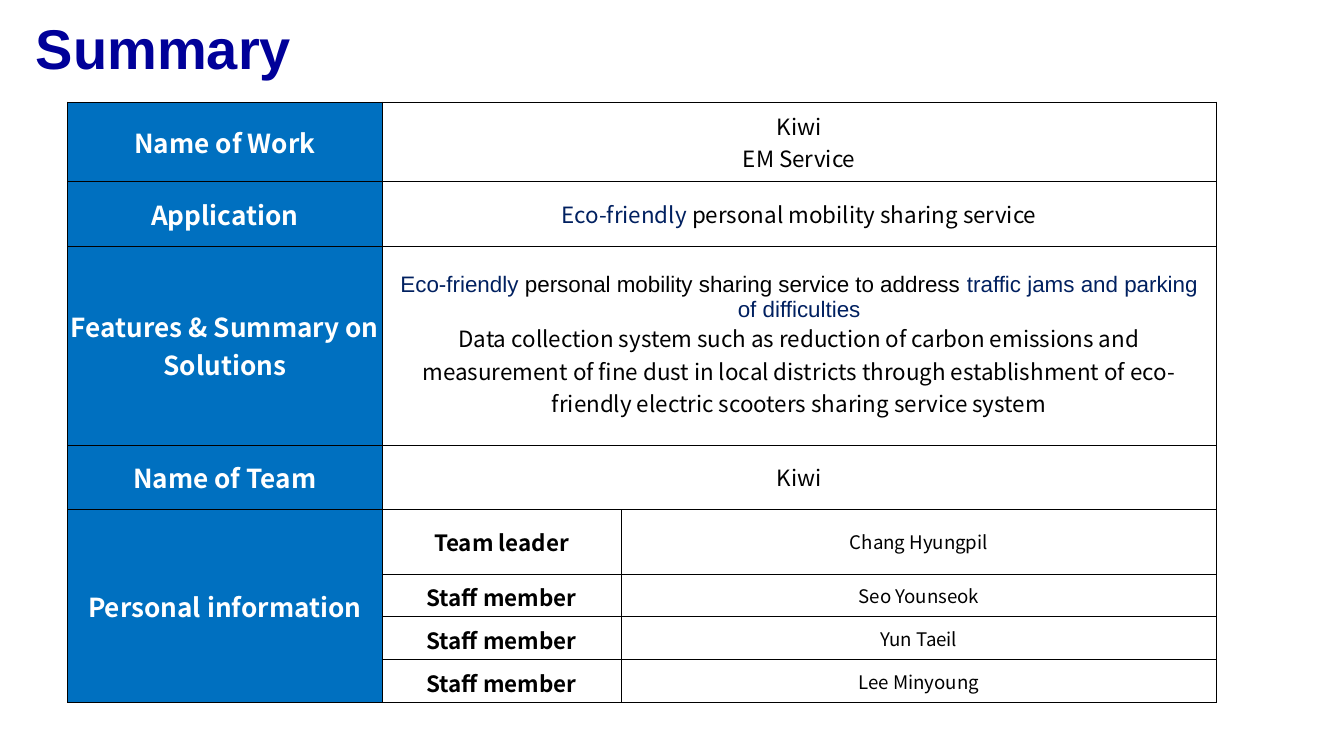
from dataclasses import dataclass

from lxml.etree import SubElement
from pptx import Presentation
from pptx.dml.color import RGBColor
from pptx.enum.text import MSO_ANCHOR, PP_ALIGN
from pptx.oxml.ns import qn
from pptx.util import Cm, Pt


@dataclass(frozen=True)
class Theme:
    title: str = "000099"
    header: str = "0070C0"
    white: str = "FFFFFF"
    black: str = "000000"
    accent: str = "002060"
    title_font: str = "Arial"
    body_font: str = "Noto Sans CJK TC"
    symbol_font: str = "Noto Sans CJK KR"
    title_size: float = 30
    header_size: float = 14
    body_size: float = 12
    name_size: float = 10
    border: float = 0.45


THEME = Theme()

# A paragraph is a list of spans: text, then an optional colour and font.
ECO = ("Eco-friendly", THEME.accent)
SUMMARY_ROWS = [
    ([("Name of Work",)], [[("Kiwi",)], [("EM Service",)]]),
    ([("Application",)], [[ECO, (" personal mobility sharing service",)]]),
    (
        [("Features ",), ("&", THEME.white, THEME.symbol_font), (" Summary on Solutions",)],
        [
            [
                (*ECO, THEME.title_font),
                (" personal mobility sharing service to address ", THEME.black, THEME.title_font),
                ("traffic jams and parking of difficulties", THEME.accent, THEME.title_font),
            ],
            [("Data collection system such as reduction of carbon emissions and "
              "measurement of fine dust in local districts through establishment of "
              "eco-friendly electric scooters sharing service system",)],
        ],
    ),
    ([("Name of Team",)], [[("Kiwi",)]]),
]
PEOPLE_HEADER = [("Personal information",)]
PEOPLE = [
    ("Team leader", "Chang Hyungpil"),
    ("Staff member", "Seo Younseok"),
    ("Staff member", "Yun Taeil"),
    ("Staff member", "Lee Minyoung"),
]
COLUMN_WIDTHS = [5.94, 4.52, 11.25]
ROW_HEIGHTS = [1.5, 1.22, 3.76, 1.22, 1.22, 0.81, 0.81, 0.81]
WIDE_MARGIN, NARROW_MARGIN = 0.3, 0.03


def style_font(font, size, color, name, bold):
    font.size = Pt(size)
    font.color.rgb = RGBColor.from_string(color)
    font.name = name
    font.bold = bold


def format_cell(cell, fill):
    """Draw the four borders first, since they precede the fill in the XML."""
    properties = cell._tc.get_or_add_tcPr()
    for side in ("lnL", "lnR", "lnT", "lnB"):
        line = SubElement(properties, qn(f"a:{side}"), w=str(Pt(THEME.border)))
        SubElement(SubElement(line, qn("a:solidFill")), qn("a:srgbClr"), val=THEME.black)
    cell.fill.solid()
    cell.fill.fore_color.rgb = RGBColor.from_string(fill)


def write_cell(cell, paragraphs, size, color=THEME.black, bold=False, margin=NARROW_MARGIN):
    cell.vertical_anchor = MSO_ANCHOR.MIDDLE
    cell.margin_left = cell.margin_right = Cm(margin)
    for index, spans in enumerate(paragraphs):
        frame = cell.text_frame
        para = frame.add_paragraph() if index else frame.paragraphs[0]
        para.alignment = PP_ALIGN.CENTER
        style_font(para.font, size, color, THEME.body_font, bold)
        for text, *changes in spans:
            span = para.add_run()
            span.text = text
            span_color, span_font = (changes + [color, THEME.body_font][len(changes):])
            style_font(span.font, size, span_color, span_font, bold)


def add_title(page):
    box = page.shapes.add_textbox(Cm(0.43), Cm(0.13), Cm(8), Cm(1.52))
    box.text_frame.word_wrap = True
    para = box.text_frame.paragraphs[0]
    para.text = "Summary"
    style_font(para.font, THEME.title_size, THEME.title, THEME.title_font, True)


def add_summary_table(page):
    table = page.shapes.add_table(
        len(ROW_HEIGHTS), len(COLUMN_WIDTHS), Cm(1.28), Cm(1.93),
        Cm(sum(COLUMN_WIDTHS)), Cm(sum(ROW_HEIGHTS)),
    ).table
    table.first_row = table.horz_banding = False
    for column, width in zip(table.columns, COLUMN_WIDTHS):
        column.width = Cm(width)
    for row, height in zip(table.rows, ROW_HEIGHTS):
        row.height = Cm(height)
        for index, cell in enumerate(row.cells):
            format_cell(cell, THEME.white if index else THEME.header)

    header_style = dict(size=THEME.header_size, color=THEME.white, bold=True)
    for index, (header, paragraphs) in enumerate(SUMMARY_ROWS):
        table.cell(index, 1).merge(table.cell(index, 2))
        write_cell(table.cell(index, 0), [header], **header_style)
        write_cell(table.cell(index, 1), paragraphs, THEME.body_size, margin=WIDE_MARGIN)

    first = len(SUMMARY_ROWS)
    table.cell(first, 0).merge(table.cell(len(ROW_HEIGHTS) - 1, 0))
    write_cell(table.cell(first, 0), [PEOPLE_HEADER], margin=WIDE_MARGIN, **header_style)
    for index, (role, name) in enumerate(PEOPLE, first):
        write_cell(table.cell(index, 1), [[(role,)]], THEME.body_size, bold=True)
        write_cell(table.cell(index, 2), [[(name,)]], THEME.name_size)


def main():
    deck = Presentation()
    deck.slide_width, deck.slide_height = Cm(25.4), Cm(14.29)
    page = deck.slides.add_slide(deck.slide_layouts[6])
    add_title(page)
    add_summary_table(page)
    deck.save("out.pptx")


if __name__ == "__main__":
    main()
